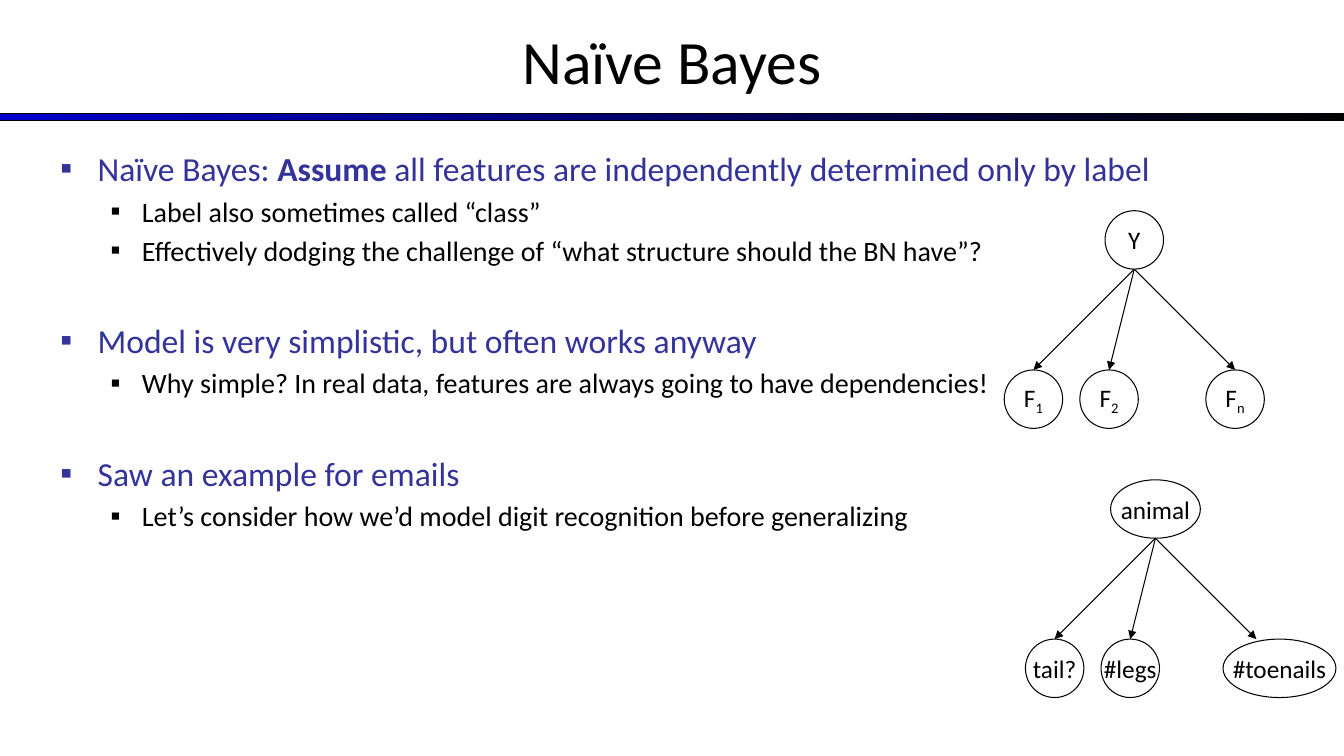
from lxml import etree
from pptx import Presentation
from pptx.dml.color import RGBColor
from pptx.enum.shapes import MSO_CONNECTOR, MSO_SHAPE
from pptx.enum.text import MSO_ANCHOR, PP_ALIGN
from pptx.oxml.ns import qn
from pptx.util import Inches, Pt

ELLIPSE, RECTANGLE = MSO_SHAPE.OVAL, MSO_SHAPE.RECTANGLE
STRAIGHT = MSO_CONNECTOR.STRAIGHT
MIDDLE, CENTER = MSO_ANCHOR.MIDDLE, PP_ALIGN.CENTER

BLACK = RGBColor(0x00, 0x00, 0x00)
BLUE = RGBColor(0x00, 0x00, 0xCC)
INDIGO = RGBColor(0x33, 0x33, 0x99)
FONT = "Calibri"
SLIDE_WIDTH, SLIDE_HEIGHT = 13.33, 7.5

TITLE = "Naïve Bayes"
KEYWORD = "Assume"
# Each topic: heading, then its sub-points
TOPICS = [
    ("Naïve Bayes: Assume all features are independently determined only by label",
     ["Label also sometimes called “class”",
      "Effectively dodging the challenge of “what structure should the BN have”?"]),
    ("Model is very simplistic, but often works anyway",
     ["Why simple? In real data, features are always going to have dependencies!"]),
    ("Saw an example for emails",
     ["Let’s consider how we’d model digit recognition before generalizing"]),
]

NODE = 0.58
ARROW_DROP = 1.0
# Label node: text, width; features: text, subscript, arrow dx, node dx, width
NETWORKS = [
    {"apex": (11.25, 2.67), "label": ("Y", NODE),
     "features": [("F", "1", -1, -1, NODE),
                  ("F", "2", -0.25, -0.25, NODE),
                  ("F", "n", 1, 1, NODE)]},
    {"apex": (11.46, 5.34), "label": ("animal", 0.89),
     "features": [("tail?", "", -1, -1, NODE),
                  ("#legs", "", -0.25, -0.25, NODE),
                  ("#toenails", "", 1, 1.23, 1.12)]},
]


def style(font, size, color):
    font.name, font.size, font.color.rgb = FONT, Pt(size), color


def add_bullet(paragraph, margin, hang, color):
    props = paragraph._p.get_or_add_pPr()
    props.set("marL", str(Inches(margin)))
    props.set("indent", str(-Inches(hang)))
    bullet_color = etree.SubElement(props, qn("a:buClr"))
    etree.SubElement(bullet_color, qn("a:srgbClr")).set("val", str(color))
    etree.SubElement(props, qn("a:buFont")).set("typeface", FONT)
    etree.SubElement(props, qn("a:buChar")).set("char", "▪")


def add_point(paragraph, text, level, space_before):
    margin, hang, size, color = [(0.37, 0.37, 24, INDIGO),
                                 (0.81, 0.31, 20, BLACK)][level]
    paragraph.level = level
    paragraph.space_before = Pt(space_before)
    add_bullet(paragraph, margin, hang, color)
    before, keyword, after = text.partition(KEYWORD)
    for part in filter(None, (before, keyword, after)):
        run = paragraph.add_run()
        run.text = part
        style(run.font, size, color)
        run.font.bold = part == KEYWORD


def add_node(slide, center_x, top, width, text, subscript=""):
    node = slide.shapes.add_shape(ELLIPSE, Inches(center_x - width / 2),
                                  Inches(top), Inches(width), Inches(NODE))
    node.shadow.inherit = False
    node.fill.background()
    node.line.color.rgb, node.line.width = BLACK, Pt(0.75)
    frame = node.text_frame
    frame.word_wrap, frame.vertical_anchor = False, MIDDLE
    paragraph = frame.paragraphs[0]
    paragraph.alignment = CENTER
    for part in filter(None, (text, subscript)):
        run = paragraph.add_run()
        run.text = part
        style(run.font, 18, BLACK)
        if part == subscript:
            run.font._element.set("baseline", "-25000")


def add_arrow(slide, start, end):
    arrow = slide.shapes.add_connector(STRAIGHT, *map(Inches, start + end))
    arrow.line.color.rgb, arrow.line.width = BLACK, Pt(0.75)
    etree.SubElement(arrow.line._get_or_add_ln(), qn("a:tailEnd")).set("type", "triangle")
    etree.SubElement(arrow._element.spPr, qn("a:effectLst"))


def add_network(slide, network):
    x, y = network["apex"]
    text, width = network["label"]
    add_node(slide, x, y - NODE, width, text)
    for text, subscript, arrow_dx, node_dx, width in network["features"]:
        add_node(slide, x + node_dx, y + ARROW_DROP, width, text, subscript)
        add_arrow(slide, (x, y), (x + arrow_dx, y + ARROW_DROP))


def add_title(slide):
    bar = slide.shapes.add_shape(RECTANGLE, 0, Inches(1.13),
                                 Inches(SLIDE_WIDTH), Inches(0.07))
    bar.shadow.inherit = False
    bar.fill.gradient()
    bar.fill.gradient_angle = 0
    for stop, color in zip(bar.fill.gradient_stops, (BLUE, BLACK)):
        stop.color.rgb = color
    bar.line.color.rgb, bar.line.width = BLACK, Pt(0.75)

    title = slide.shapes.title
    title.left, title.top = Inches(0), Inches(-0.03)
    title.width, title.height = Inches(SLIDE_WIDTH), Inches(1.25)
    title.text_frame.text = TITLE
    title.text_frame.vertical_anchor = MIDDLE
    heading = title.text_frame.paragraphs[0]
    heading.alignment = CENTER
    style(heading.runs[0].font, 44, BLACK)


def add_topics(slide):
    body = slide.shapes.add_textbox(Inches(0.5), Inches(1.42), Inches(12), Inches(5.25))
    frame = body.text_frame
    frame.word_wrap = True
    for i, (heading, points) in enumerate(TOPICS):
        paragraph = frame.add_paragraph() if i else frame.paragraphs[0]
        add_point(paragraph, heading, 0, 38 if i else 0)
        for point in points:
            add_point(frame.add_paragraph(), point, 1, 4)


def main():
    deck = Presentation()
    deck.slide_width, deck.slide_height = Inches(SLIDE_WIDTH), Inches(SLIDE_HEIGHT)
    slide = deck.slides.add_slide(deck.slide_layouts[5])
    add_title(slide)
    add_topics(slide)
    for network in NETWORKS:
        add_network(slide, network)
    deck.save("out.pptx")


if __name__ == "__main__":
    main()
